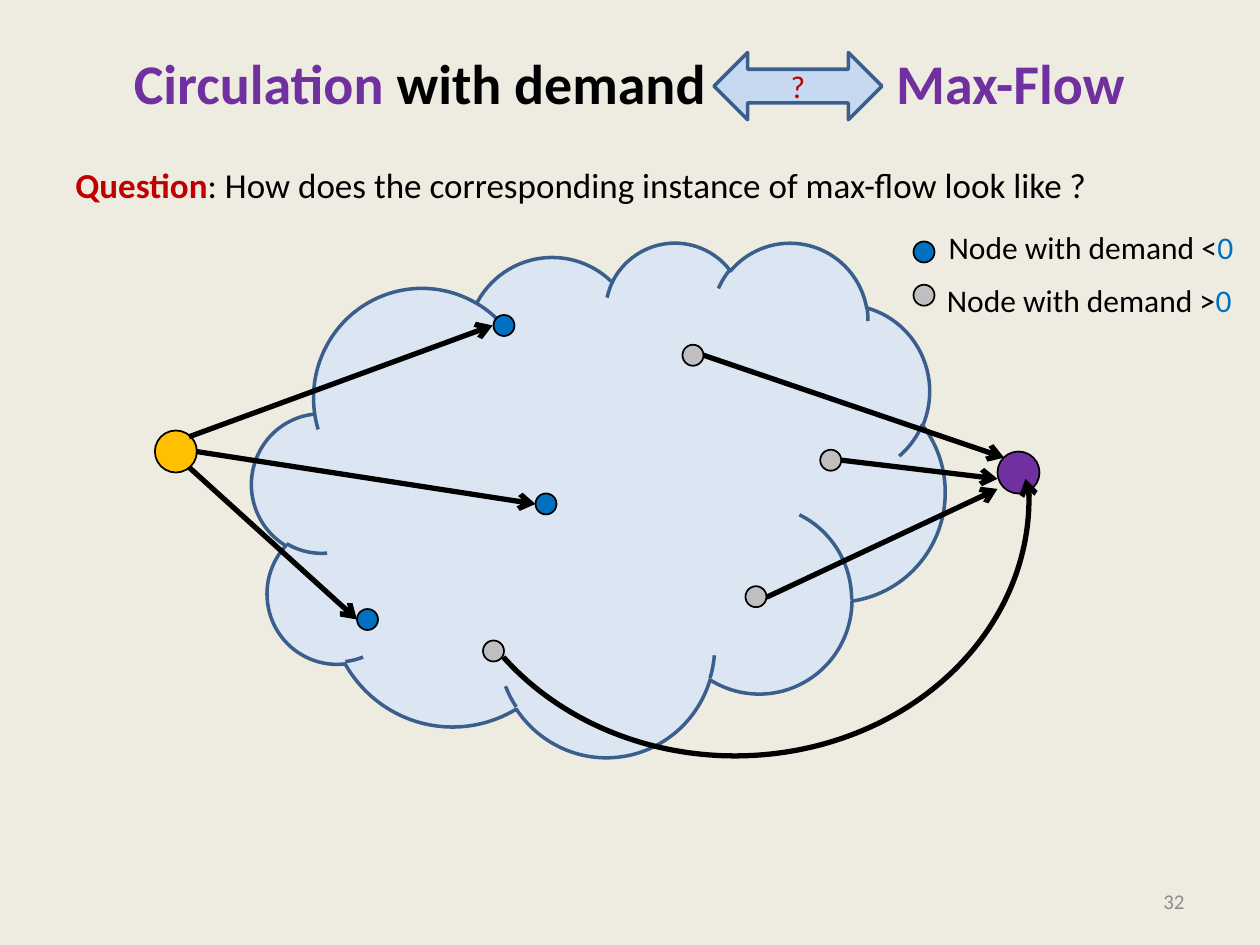
from dataclasses import dataclass

from lxml import etree
from pptx import Presentation
from pptx.dml.color import RGBColor
from pptx.enum.shapes import MSO_CONNECTOR, MSO_SHAPE
from pptx.enum.text import MSO_ANCHOR, PP_ALIGN
from pptx.oxml.ns import qn
from pptx.util import Pt

OVAL = MSO_SHAPE.OVAL
CLOUD = MSO_SHAPE.CLOUD
ARC = MSO_SHAPE.ARC
DOUBLE = MSO_SHAPE.LEFT_RIGHT_ARROW
LINE = MSO_CONNECTOR.STRAIGHT
LEFT, CENTER, RIGHT = PP_ALIGN.LEFT, PP_ALIGN.CENTER, PP_ALIGN.RIGHT
TOP, MIDDLE = MSO_ANCHOR.TOP, MSO_ANCHOR.MIDDLE


@dataclass(frozen=True)
class Theme:
    font: str = "Calibri"
    back: str = "EEECE1"
    ink: str = "000000"
    purple: str = "7030A0"
    red: str = "C00000"
    blue: str = "0070C0"
    gray: str = "BFBFBF"
    gold: str = "FFC000"
    mist: str = "DCE6F2"
    sky: str = "C6D9F1"
    edge: str = "3A5F8C"
    faint: str = "8C8C8C"
    title: int = 32
    body: int = 20
    label: int = 18
    small: int = 12


def assign(target, values):
    for name, value in values.items():
        setattr(target, name, value)


def color(code):
    return RGBColor.from_string(code)


class Board:
    def __init__(self, slide, theme):
        self.slide = slide
        self.theme = theme
        fill = slide.background.fill
        fill.solid()
        fill.fore_color.rgb = color(theme.back)

    def letter(self, shape, runs, size, align=LEFT, **frame):
        text = shape.text_frame
        assign(text, {"word_wrap": True, "vertical_anchor": TOP, **frame})
        para = text.paragraphs[0]
        para.alignment = align
        for words, ink, bold in runs:
            run = para.add_run()
            run.text = words
            assign(run.font, {"name": self.theme.font, "size": Pt(size), "bold": bold})
            run.font.color.rgb = color(ink)
        return para

    def text(self, box, runs, size, align=LEFT, **frame):
        shape = self.slide.shapes.add_textbox(*map(Pt, box))
        return self.letter(shape, runs, size, align, **frame)

    def shape(self, kind, box, fill, edge, width):
        shape = self.slide.shapes.add_shape(kind, *map(Pt, box))
        shape.shadow.inherit = False
        if fill:
            shape.fill.solid()
            shape.fill.fore_color.rgb = color(fill)
        else:
            shape.fill.background()
        shape.line.color.rgb = color(edge)
        shape.line.width = Pt(width)
        return shape

    def node(self, left, top, fill, size=12):
        self.shape(OVAL, (left, top, size, size), fill, self.theme.ink, 1)

    def arrow(self, *ends):
        link = self.slide.shapes.add_connector(LINE, *map(Pt, ends))
        link.line.color.rgb = color(self.theme.ink)
        link.line.width = Pt(3)
        props = link._element.spPr
        etree.SubElement(props.find(qn("a:ln")), qn("a:tailEnd"), type="arrow")
        etree.SubElement(props, qn("a:effectLst"))

    def tab(self, para, place):
        stops = etree.SubElement(para._p.get_or_add_pPr(), qn("a:tabLst"))
        etree.SubElement(stops, qn("a:tab"), pos=str(Pt(place)), algn="l")


def main():
    deck = Presentation()
    deck.slide_width, deck.slide_height = Pt(720), Pt(540)
    theme = Theme()
    board = Board(deck.slides.add_slide(deck.slide_layouts[6]), theme)

    title = board.text(
        (36, 21.6, 648, 90),
        [("Circulation", theme.purple, True),
         (" with demand\t", theme.ink, True),
         ("Max-Flow", theme.purple, True)],
        theme.title, margin_left=Pt(40.5), margin_top=Pt(6))
    board.tab(title, 435.6)
    board.text(
        (36, 90, 648, 414),
        [("Question", theme.red, True),
         (": How does the corresponding instance of max-flow look like ?", theme.ink, False)],
        theme.body)
    board.text((516, 500.5, 168, 28.75), [("32", theme.faint, False)],
               theme.small, RIGHT, vertical_anchor=MIDDLE)

    board.shape(CLOUD, (144, 138, 396, 294), theme.mist, theme.edge, 2)
    for left, top in ((306, 282), (282, 180), (204, 348)):
        board.node(left, top, theme.blue)
    board.node(88.5, 246, theme.gold, 24)
    board.node(570, 258, theme.purple, 24)

    for ends in (
        (108, 249.6, 281.5, 186),
        (112, 258, 306, 288),
        (108, 267, 204, 354),
        (402, 203, 573.8, 261.5),
        (481, 263, 570, 273.6),
        (438, 341.3, 570, 279.4),
        (588, 283, 586, 273.6),
    ):
        board.arrow(*ends)
    curve = board.shape(ARC, (252, 138, 336, 294), None, theme.ink, 3)
    curve.adjustments[0] = 215.51
    curve.adjustments[1] = 87.38

    for left, top in ((276, 366), (390, 197), (468.7, 257), (426, 335)):
        board.node(left, top, theme.gray)

    for sign, fill, dot, left, top in (
        (">", theme.gray, 162.7, 534, 157),
        ("<", theme.blue, 138, 535, 126.7),
    ):
        board.node(522, dot, fill)
        board.text((left, top, 179, 29),
                   [("Node with demand " + sign, theme.ink, False), ("0", theme.blue, False)],
                   theme.label, word_wrap=False)

    query = board.shape(DOUBLE, (408, 30, 96, 38.4), theme.sky, theme.edge, 2)
    board.letter(query, [("?", theme.red, False)], theme.label, CENTER, vertical_anchor=MIDDLE)
    deck.save("out.pptx")


if __name__ == "__main__":
    main()
